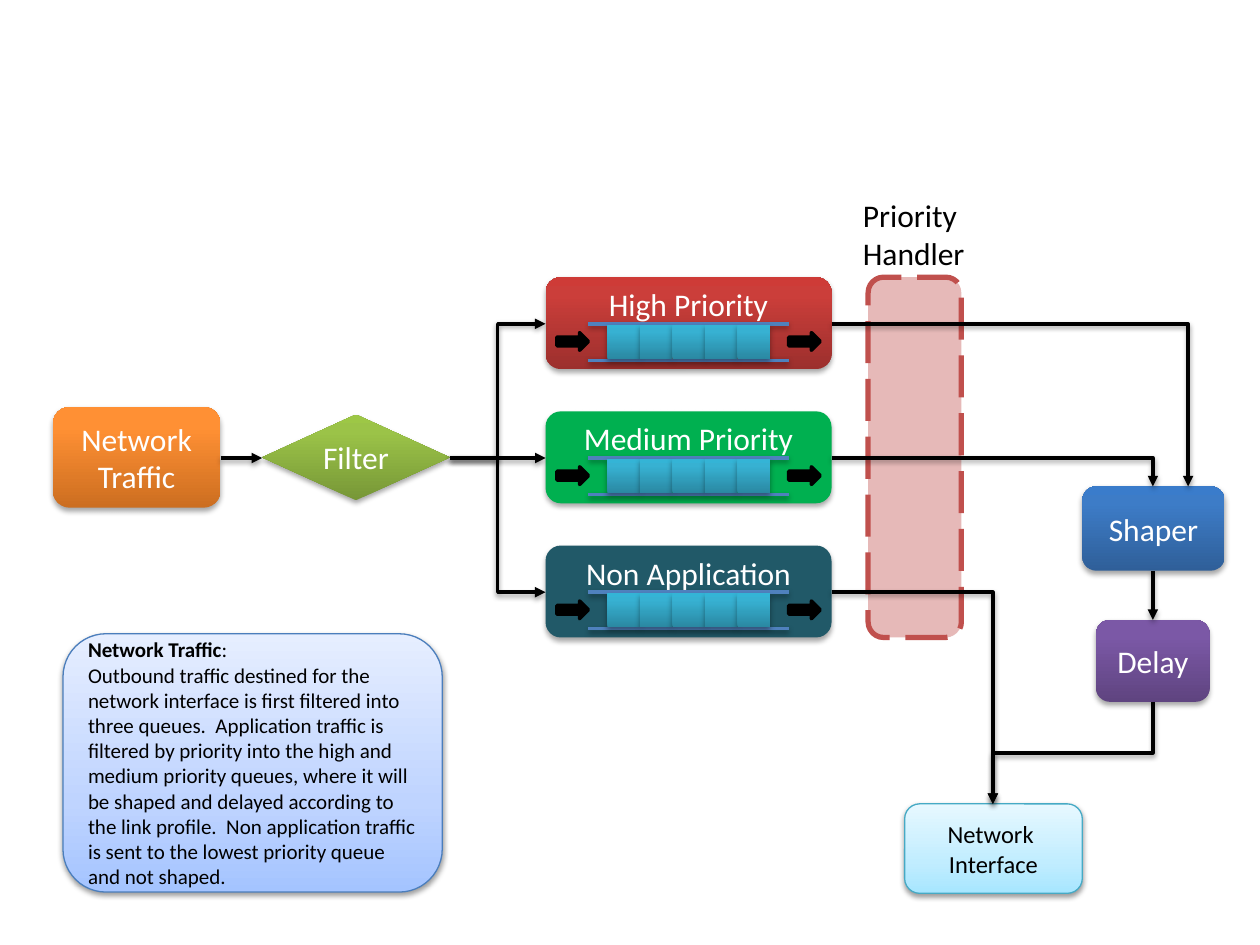
from copy import deepcopy

from lxml import etree
from pptx import Presentation
from pptx.dml.color import RGBColor
from pptx.enum.dml import MSO_LINE
from pptx.enum.shapes import MSO_CONNECTOR, MSO_SHAPE
from pptx.enum.text import MSO_ANCHOR, MSO_AUTO_SIZE, PP_ALIGN
from pptx.oxml.ns import qn
from pptx.util import Inches, Pt

ROUNDED = MSO_SHAPE.ROUNDED_RECTANGLE
RECTANGLE = MSO_SHAPE.RECTANGLE
DECISION = MSO_SHAPE.FLOWCHART_DECISION
BLOCK_ARROW = MSO_SHAPE.RIGHT_ARROW
STRAIGHT, ELBOW = MSO_CONNECTOR.STRAIGHT, MSO_CONNECTOR.ELBOW
LONG_DASH = MSO_LINE.LONG_DASH
LEFT, CENTER = PP_ALIGN.LEFT, PP_ALIGN.CENTER
MIDDLE, TOP = MSO_ANCHOR.MIDDLE, MSO_ANCHOR.TOP
FIT_SHAPE = MSO_AUTO_SIZE.SHAPE_TO_FIT_TEXT

COLUMNS, ROWS = 100, 75
BLACK, WHITE = "000000", "FFFFFF"
STRONG, PALE = (0, 80, 100), (0, 35, 100)  # gradient positions, bottom to top
ORANGE = ("CC6E20", "FF9034", "FF9136")
BLUE = ("2F5F99", "3D7CC7", "3A7CCB")
PURPLE = ("5F4480", "7B58A6", "7C57A8")
GREEN = ("779737", "9BC348", "9DC746")
RED = ("9C2F2D", "CB3E3A", "CE3B37")
TEAL = ("2A88A2", "37B1D2", "34B4D6")
PALE_TEAL = ("A7E6FF", "C1EDFF", "E7F8FF")
PALE_BLUE = ("A4C4FF", "BFD4FF", "E6EEFF")

NOTE = (
    "Outbound traffic destined for the network interface is first filtered into "
    "three queues.  Application traffic is filtered by priority into the high and "
    "medium priority queues, where it will be shaped and delayed according to the "
    "link profile.  Non application traffic is sent to the lowest priority queue "
    "and not shaped."
)


def color(value):
    return RGBColor.from_string(value)


class Diagram:
    """Holds the style and the current page; lengths are grid columns and rows."""

    font = "Calibri"

    def __init__(self, deck):
        self.column = deck.slide_width / COLUMNS
        self.row = deck.slide_height / ROWS
        self.page = deck.slides.add_slide(deck.slide_layouts[6])
        self.shapes = self.page.shapes

    def place(self, *lengths):
        units = (self.column, self.row) * 2
        return [round(length * unit) for length, unit in zip(lengths, units)]

    def shadow(self, item, distance, opacity):
        effects = etree.SubElement(item._element.spPr, qn("a:effectLst"))
        outer = etree.SubElement(
            effects, qn("a:outerShdw"), blurRad=str(Pt(3.1)), dist=str(Pt(distance)),
            dir="5400000", rotWithShape="0")
        tone = etree.SubElement(outer, qn("a:srgbClr"), val=BLACK)
        etree.SubElement(tone, qn("a:alpha"), val=str(opacity * 1000))

    def paint(self, shape, fill, positions):
        if isinstance(fill, str):
            shape.fill.solid()
            shape.fill.fore_color.rgb = color(fill)
            return
        shape.fill.gradient()
        shape.fill.gradient_angle = 90
        stops = shape._element.spPr.find(".//" + qn("a:gsLst"))
        stops.append(deepcopy(stops[0]))
        for stop, value, position in zip(shape.fill.gradient_stops, fill, positions):
            stop.color.rgb = color(value)
            stop.position = position / 100

    def box(self, kind, at, fill, line=None, width=0.75, dash=None, shadow=True):
        shape = self.shapes.add_shape(kind, *self.place(*at))
        pale = line is not None
        self.paint(shape, fill, PALE if pale else STRONG)
        if line:
            shape.line.color.rgb = color(line)
            shape.line.width = Pt(width)
            shape.line.dash_style = dash
        else:
            shape.line.fill.background()
        if shadow:
            self.shadow(shape, *((1.6, 38) if pale else (1.8, 35)))
        else:
            shape.shadow.inherit = False
        return shape

    def text(self, shape, paragraphs, size=18, tone=WHITE, align=CENTER, anchor=MIDDLE):
        """Each paragraph is a list of (words, bold) runs."""
        frame = shape.text_frame
        frame.word_wrap = True
        frame.vertical_anchor = anchor
        for index, runs in enumerate(paragraphs):
            para = frame.add_paragraph() if index else frame.paragraphs[0]
            para.alignment = align
            for words, bold in runs:
                span = para.add_run()
                span.text = words
                span.font.name, span.font.size = self.font, Pt(size)
                span.font.bold = bold
                span.font.color.rgb = color(tone)
        return frame

    def step(self, kind, at, fill, words):
        self.text(self.box(kind, at, fill), [[(words, False)]])

    def label(self, at, lines):
        box = self.shapes.add_textbox(*self.place(*at))
        frame = self.text(box, [[(line, False)] for line in lines],
                          tone=BLACK, align=LEFT, anchor=TOP)
        frame.word_wrap = False
        frame.auto_size = FIT_SHAPE

    def line(self, start, end, tone=BLACK, kind=STRAIGHT, arrow=True):
        link = self.shapes.add_connector(kind, *self.place(*start, *end))
        link.line.color.rgb = color(tone)
        link.line.width = Pt(2)
        if arrow:
            etree.SubElement(link.line._get_or_add_ln(), qn("a:tailEnd"), type="triangle")
        self.shadow(link, 1.6, 38)
        return link

    def corner(self, start, end):
        """One bend: across, then down."""
        link = self.line(start, end, kind=ELBOW)
        link._element.spPr.find(qn("a:prstGeom")).set("prst", "bentConnector2")

    def drop(self, start, end):
        """Two bends: down, across, down; a quarter-turned elbow going left."""
        middle_x, middle_y = (start[0] + end[0]) / 2, (start[1] + end[1]) / 2
        half_x, half_y = (end[1] - start[1]) / 2, (start[0] - end[0]) / 2
        link = self.line((middle_x - half_x, middle_y - half_y),
                         (middle_x + half_x, middle_y + half_y), kind=ELBOW)
        link._element.spPr.find(qn("a:xfrm")).set("rot", "5400000")

    def queue(self, top, fill, words):
        """A titled box with a five-cell buffer between two arrows, as one group."""
        self.shapes = self.page.shapes.add_group_shape().shapes
        box = self.box(ROUNDED, (43.3, top, 22.7, 7.3), fill)
        self.text(box, [[(words, False)]]).margin_bottom = Inches(0.35)
        for rail in (top + 3.7, top + 6.6):
            self.line((62.6, rail), (46.7, rail), "4F81BD", arrow=False)
        for cell in range(5):
            self.box(RECTANGLE, (48.2 + 2.58 * cell, top + 3.8, 2.6, 2.7), TEAL)
        for left in (44.2, 62.6):
            self.box(BLOCK_ARROW, (left, top + 4.4, 2.5, 1.4), BLACK, BLACK, 2, shadow=False)
        self.shapes = self.page.shapes


def main():
    deck = Presentation()
    deck.slide_width, deck.slide_height = Inches(10), Inches(7.5)
    diagram = Diagram(deck)

    # Priority handler behind the flow lines
    diagram.box(ROUNDED, (68.9, 22, 7.4, 28.6), "E6B9B8", "C0504D", 3, LONG_DASH, False)
    diagram.label((67.5, 15.1, 10.2, 7.1), ["Priority", "Handler"])

    # Processing steps
    diagram.step(ROUNDED, (4.2, 32.3, 13.3, 8), ORANGE, "Network Traffic")
    diagram.step(DECISION, (20.8, 32.9, 14.9, 6.8), GREEN, "Filter")
    diagram.step(ROUNDED, (85.9, 38.6, 11.3, 6.7), BLUE, "Shaper")
    diagram.step(ROUNDED, (87, 49.2, 9, 6.5), PURPLE, "Delay")
    interface = diagram.box(ROUNDED, (71.8, 63.8, 14.1, 7.1), PALE_TEAL, "46AAC5")
    diagram.text(interface, [[("Network ", False)], [("Interface", False)]], 14, BLACK)

    # Queues, evenly spaced
    queues = [(RED, "High Priority"), ("00B050", "Medium Priority"),
              ("215968", "Non Application")]
    first_top, pitch = 22, 10.65
    for index, (fill, words) in enumerate(queues):
        diagram.queue(first_top + index * pitch, fill, words)
    high, medium, low = (first_top + 3.7 + index * pitch for index in range(3))

    # Flow lines from traffic through the filter into the queues
    diagram.line((17.5, medium), (20.8, medium))
    for level, kind in ((low, ELBOW), (high, ELBOW), (medium, STRAIGHT)):
        diagram.line((35.7, medium), (43.3, level), kind=kind)

    # Flow lines from the queues to the network interface
    diagram.corner((66, high), (94.3, 38.6))
    diagram.corner((66, medium), (91.5, 38.6))
    diagram.corner((66, low), (78.8, 63.8))
    diagram.line((91.5, 45.3), (91.5, 49.2))
    diagram.drop((91.5, 55.7), (78.8, 63.8))

    # Explanation
    note = diagram.box(ROUNDED, (5, 50.3, 30.1, 20.5), PALE_BLUE, "4B7EBC")
    diagram.text(note, [[("Network Traffic", True), (":", False)], [(NOTE, False)]],
                 12, BLACK, LEFT)

    deck.save("out.pptx")


if __name__ == "__main__":
    main()
